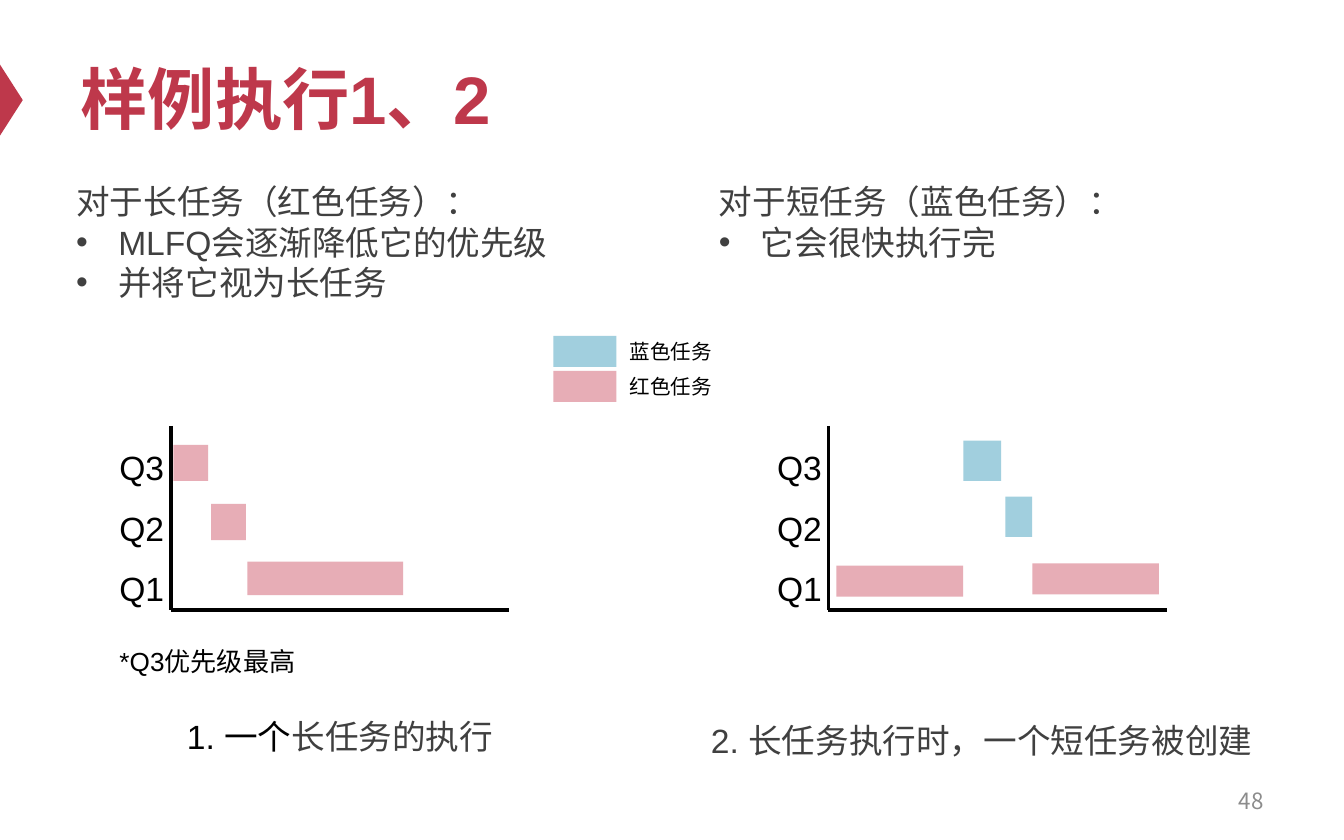
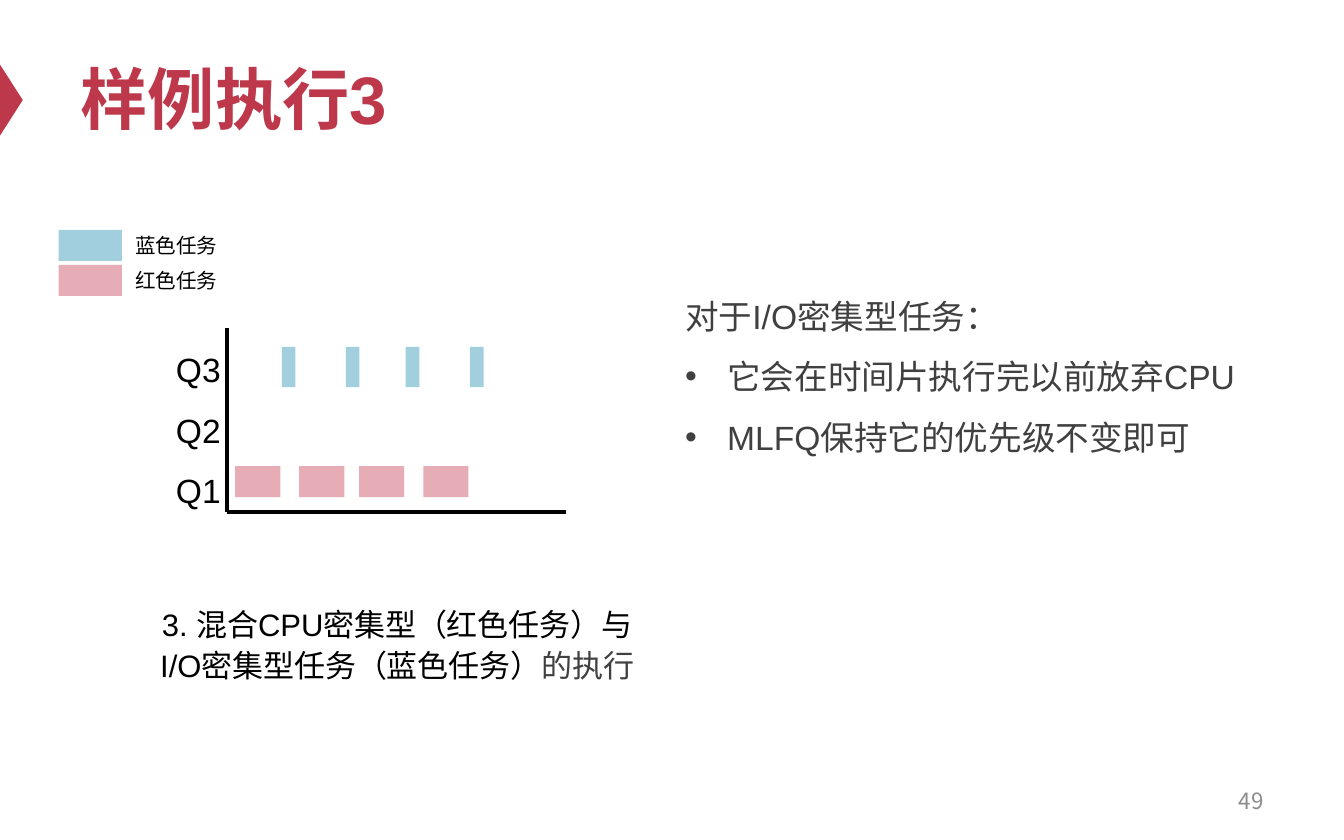
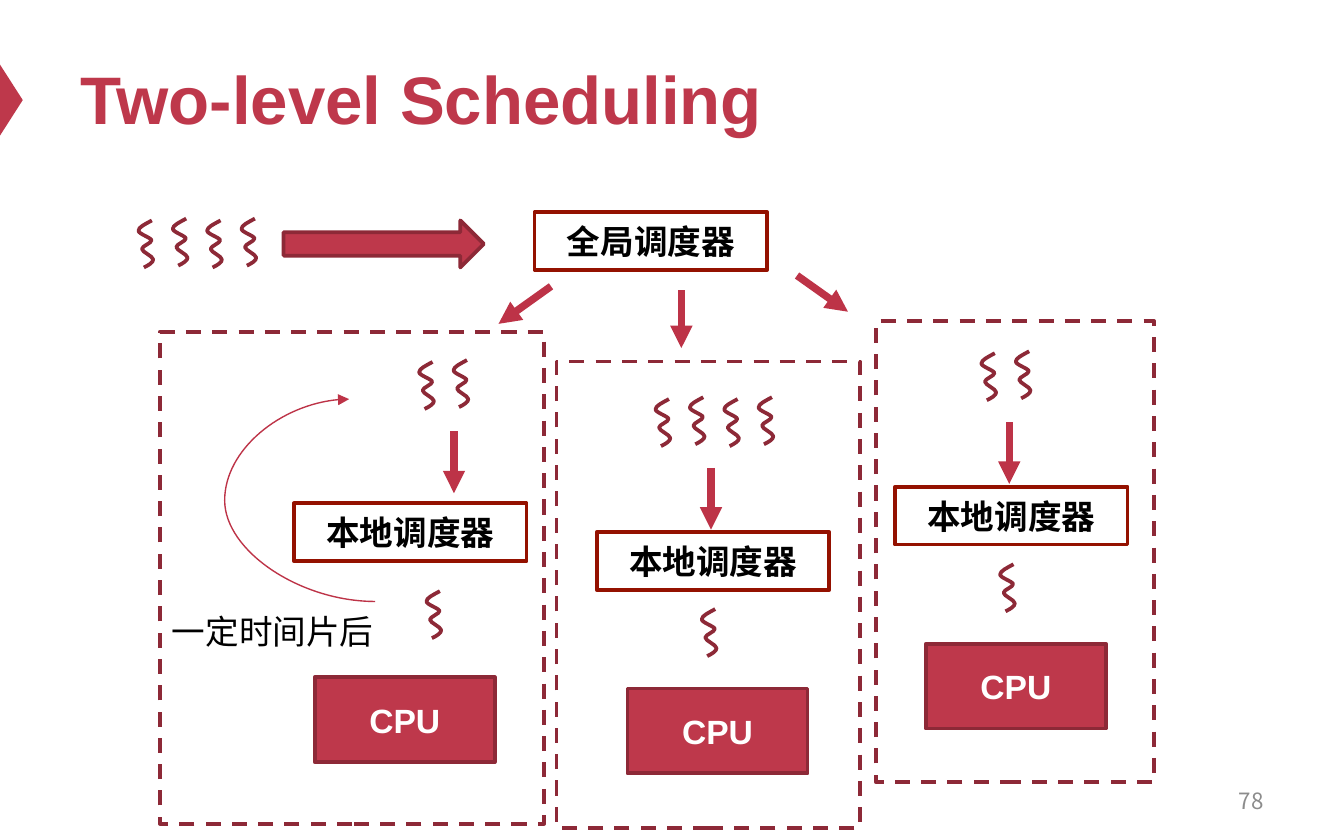
from dataclasses import dataclass, replace
from typing import NamedTuple, Sequence

from lxml import etree
from pptx import Presentation
from pptx import util as u
from pptx.dml.color import RGBColor
from pptx.enum import dml, shapes, text
from pptx.oxml import ns


@dataclass(frozen=True)
class Theme:
    latin: str = "Arial"
    chinese: str = "Noto Sans CJK SC"
    crimson: str = "BE384B"
    arrow: str = "BD3347"
    maroon: str = "8D2937"
    rust: str = "941100"
    pink: str = "E7ADB6"
    blue: str = "A1CFDE"
    black: str = "000000"
    body: str = "404040"
    grey: str = "8C8C8C"
    white: str = "FFFFFF"
    title_size: float = 36
    body_size: float = 18
    dense_size: float = 16.6
    note_size: float = 14
    number_size: float = 12
    legend_size: float = 11
    outline: float = 2
    thick: float = 4
    thin: float = 0.75


THEME = Theme()


class Box(NamedTuple):
    left: float
    top: float
    width: float
    height: float


class Point(NamedTuple):
    x: float
    y: float


@dataclass(frozen=True)
class Style:
    size: float = THEME.body_size
    color: str = THEME.black
    bold: bool = False
    align: text.PP_ALIGN = text.PP_ALIGN.LEFT
    spacing: float = 1.0
    font: str = THEME.latin


BODY = Style(color=THEME.body)
LABEL = Style(bold=True, align=text.PP_ALIGN.CENTER)
CAPTION = Style(align=text.PP_ALIGN.CENTER, spacing=1.2)


class Bar(NamedTuple):
    box: Box
    color: str


@dataclass(frozen=True)
class QueueChart:
    origin: Point
    bars: Sequence[Bar]


@dataclass(frozen=True)
class ThreadRow:
    left: float
    top: float
    count: int = 1


@dataclass(frozen=True)
class Core:
    frame: Box
    queue: ThreadRow
    arrow: Point
    scheduler: Point
    running: ThreadRow
    processor: Point


TITLE_BOX = Box(36, 15.5, 648, 74)
NUMBER_BOX = Box(516.2, 416.9, 167.8, 23.8)
MARKER_BOX = Box(-12.9, 47.5, 38, 12.2)
AXIS = Point(181.4, 98.7)
SWATCH = Point(33.8, 16.6)
SCHEDULER = Point(124.6, 31)
PROCESSOR = Point(96.5, 45.4)
ARROW_LENGTH = 33.1
THREAD_STEP = 18.4
THREAD_CURVE = [
    Point(7.2, 0),
    Point(3.6, 2), Point(0, 3.6), Point(0, 5.5),
    Point(0, 7.2), Point(6.5, 9.1), Point(7, 10.6),
    Point(7.1, 12.2), Point(1.8, 13.7), Point(1.9, 15.3),
    Point(2, 17), Point(7.7, 19.1), Point(7.9, 20.9),
    Point(8, 22.5), Point(5.4, 24), Point(2.9, 25.2),
]

LONG_TASK = QueueChart(Point(91.5, 228.2), [
    Bar(Box(1.4, 10.1, 18.7, 19.4), THEME.pink),
    Bar(Box(21.6, 41.8, 18.7, 19.4), THEME.pink),
    Bar(Box(41, 72.7, 83.5, 18), THEME.pink),
])
SHORT_TASK = QueueChart(Point(443.8, 228.2), [
    Bar(Box(72.3, 7.9, 20.2, 21.6), THEME.blue),
    Bar(Box(4.3, 74.9, 67.9, 16.6), THEME.pink),
    Bar(Box(109.2, 73.6, 67.9, 16.6), THEME.pink),
    Bar(Box(94.8, 37.9, 14.4, 21.6), THEME.blue),
])
MIXED_TASKS = QueueChart(Point(121.8, 175.7), [
    bar
    for start in (4.2, 38.5, 70.6, 105)
    for bar in (
        Bar(Box(start + 25, 10.1, 7.3, 21.6), THEME.blue),
        Bar(Box(start, 74, 24.2, 16.6), THEME.pink),
    )
])
CORES = [
    Core(Box(85.7, 177.8, 205.9, 263.5), ThreadRow(224.6, 193.9, 2),
         Point(243.2, 231.1), Point(157.5, 269.7),
         ThreadRow(228.5, 316.7), Point(168.6, 362.9)),
    Core(Box(298.1, 193.7, 162.7, 249.8), ThreadRow(351.2, 213.8, 4),
         Point(380.9, 250.6), Point(319.7, 285.1),
         ThreadRow(376, 326.3), Point(336.2, 368.9)),
    Core(Box(469.3, 172.1, 149, 247), ThreadRow(525.8, 189.2, 2),
         Point(540.7, 226.1), Point(479.5, 260.8),
         ThreadRow(535.8, 302.3), Point(496, 344.9)),
]
DISPATCHES = [
    (Point(295.2, 153.4), Point(267.1, 173.5)),
    (Point(365, 155.5), Point(365, 186.5)),
    (Point(427, 147.6), Point(454.3, 167)),
]


def lengths(values: Sequence[float]) -> list:
    return [u.Pt(value) for value in values]


def rgb(color: str) -> RGBColor:
    return RGBColor.from_string(color)


def add_bullet(paragraph) -> None:
    properties = paragraph._p.get_or_add_pPr()
    properties.set("marL", str(u.Pt(22.5)))
    properties.set("indent", str(-u.Pt(22.5)))
    etree.SubElement(properties, ns.qn("a:buFont"), typeface=THEME.latin)
    etree.SubElement(properties, ns.qn("a:buChar"), char="•")


def write(frame, lines: Sequence[str], style: Style, bulleted: bool = False) -> None:
    for index, line in enumerate(lines):
        paragraph = frame.add_paragraph() if index else frame.paragraphs[0]
        paragraph.text = line
        paragraph.alignment = style.align
        paragraph.line_spacing = style.spacing
        if bulleted and index:
            add_bullet(paragraph)
        font = paragraph.font
        font.name, font.size, font.bold = style.font, u.Pt(style.size), style.bold
        font.color.rgb = rgb(style.color)
        defaults = paragraph._p.pPr.find(ns.qn("a:defRPr"))
        etree.SubElement(defaults, ns.qn("a:ea"), typeface=THEME.chinese)


def add_text(slide, box: Box, lines: Sequence[str], style: Style,
             bulleted: bool = False, wrap: bool = True):
    frame = slide.shapes.add_textbox(*lengths(box)).text_frame
    frame.word_wrap = wrap
    write(frame, lines, style, bulleted)
    return frame


def add_caption(slide, box: Box, lead: str, rest: str, style: Style) -> None:
    run = add_text(slide, box, [lead], style).paragraphs[0].add_run()
    run.text = rest
    run.font.color.rgb = rgb(THEME.body)


def paint(shape, fill: str | None = None, line: str | None = None):
    shape.shadow.inherit = False
    if fill:
        shape.fill.solid()
        shape.fill.fore_color.rgb = rgb(fill)
    else:
        shape.fill.background()
    if line:
        shape.line.color.rgb = rgb(line)
        shape.line.width = u.Pt(THEME.outline)
    else:
        shape.line.fill.background()
    return shape


def add_block(slide, box: Box, fill: str | None = None, line: str | None = None,
              kind: shapes.MSO_SHAPE = shapes.MSO_SHAPE.RECTANGLE):
    return paint(slide.shapes.add_shape(kind, *lengths(box)), fill, line)


def add_labelled(slide, corner: Point, size: Point, label: str,
                 fill: str, line: str, color: str) -> None:
    frame = add_block(slide, Box(*corner, *size), fill, line).text_frame
    frame.vertical_anchor = text.MSO_ANCHOR.MIDDLE
    write(frame, [label], replace(LABEL, color=color))


def add_line(slide, start: Point, end: Point, color: str, width: float, arrow: bool = False,
             kind: shapes.MSO_CONNECTOR = shapes.MSO_CONNECTOR.STRAIGHT):
    connector = slide.shapes.add_connector(kind, *lengths([*start, *end]))
    connector.line.color.rgb = rgb(color)
    connector.line.width = u.Pt(width)
    properties = connector._element.spPr
    if arrow:
        etree.SubElement(properties.find(ns.qn("a:ln")), ns.qn("a:tailEnd"), type="triangle")
    etree.SubElement(properties, ns.qn("a:effectLst"))
    return connector


def add_titled_slide(presentation, title: str, number: int):
    slide = presentation.slides.add_slide(presentation.slide_layouts[5])
    marker = add_block(slide, MARKER_BOX, THEME.crimson,
                       kind=shapes.MSO_SHAPE.ISOSCELES_TRIANGLE)
    marker.rotation = 90
    heading = slide.shapes.title
    heading.left, heading.top, heading.width, heading.height = lengths(TITLE_BOX)
    heading.text_frame.vertical_anchor = text.MSO_ANCHOR.MIDDLE
    write(heading.text_frame, [title], Style(THEME.title_size, THEME.crimson, True))
    frame = add_text(slide, NUMBER_BOX, [str(number)],
                     Style(THEME.number_size, THEME.grey, align=text.PP_ALIGN.RIGHT,
                           font=THEME.chinese))
    frame.vertical_anchor = text.MSO_ANCHOR.MIDDLE
    return slide


def add_queue_chart(slide, chart: QueueChart) -> None:
    left, top = chart.origin
    corner = Point(left, top + AXIS.y)
    add_text(slide, Box(left - 34.6, top - 2.9, 43.2, 101.5),
             ["Q3", "Q2", "Q1"], Style(spacing=1.5))
    add_line(slide, chart.origin, corner, THEME.black, THEME.outline)
    add_line(slide, corner, Point(left + AXIS.x, corner.y), THEME.black, THEME.outline)
    for box, color in chart.bars:
        add_block(slide, Box(left + box.left, top + box.top, box.width, box.height), color)


def add_legend(slide, corner: Point) -> None:
    entries = [("蓝色任务", THEME.blue), ("红色任务", THEME.pink)]
    for index, (label, color) in enumerate(entries):
        top = corner.y + 18.7 * index
        add_block(slide, Box(corner.x, top, *SWATCH), color)
        add_text(slide, Box(corner.x + SWATCH.x, top - 2, 59, 20.9), [label],
                 Style(THEME.legend_size), wrap=False)


def add_threads(slide, row: ThreadRow) -> None:
    for index in range(row.count):
        left = row.left + THREAD_STEP * index
        top = row.top - index % 2
        points = [lengths((left + x, top + y)) for x, y in THREAD_CURVE]
        builder = slide.shapes.build_freeform(*points[0])
        builder.add_line_segments(points[1:], close=False)
        thread = paint(builder.convert_to_shape(), line=THEME.maroon)
        outline = thread._element.find(".//" + ns.qn("a:path"))
        segments = outline.findall(ns.qn("a:lnTo"))
        for first in range(0, len(segments), 3):
            curve = etree.SubElement(outline, ns.qn("a:cubicBezTo"))
            for segment in segments[first:first + 3]:
                curve.append(segment[0])
                outline.remove(segment)


def add_scheduler(slide, corner: Point, label: str) -> None:
    add_labelled(slide, corner, SCHEDULER, label, THEME.white, THEME.rust, THEME.black)


def add_core(slide, core: Core) -> None:
    frame = add_block(slide, core.frame, line=THEME.maroon)
    frame.line.dash_style = dml.MSO_LINE.DASH
    add_threads(slide, core.queue)
    add_line(slide, core.arrow, Point(core.arrow.x, core.arrow.y + ARROW_LENGTH),
             THEME.arrow, THEME.thick, arrow=True)
    add_scheduler(slide, core.scheduler, "本地调度器")
    add_threads(slide, core.running)
    add_labelled(slide, core.processor, PROCESSOR, "CPU",
                 THEME.crimson, THEME.maroon, THEME.white)


def add_return_arrow(slide) -> None:
    connector = add_line(slide, Point(187, 213.8), Point(201, 322.2), THEME.arrow,
                         THEME.thin, arrow=True, kind=shapes.MSO_CONNECTOR.CURVE)
    properties = connector._element.spPr
    properties.find(ns.qn("a:xfrm")).set("rot", "10800000")
    geometry = properties.find(ns.qn("a:prstGeom"))
    adjustments = geometry.find(ns.qn("a:avLst"))
    if adjustments is None:
        adjustments = etree.SubElement(geometry, ns.qn("a:avLst"))
    etree.SubElement(adjustments, ns.qn("a:gd"), name="adj1", fmla="val 576000")


def build_single_tasks(presentation) -> None:
    slide = add_titled_slide(presentation, "样例执行1、2", 48)
    add_caption(slide, Box(72.7, 375.8, 218.9, 50.4), "1. 一个", "长任务的执行", CAPTION)
    add_text(slide, Box(370, 378, 311.8, 50.4), ["2. 长任务执行时，一个短任务被创建"],
             replace(CAPTION, color=THEME.body))
    add_text(slide, Box(378, 93.6, 342, 51), ["对于短任务（蓝色任务）：", "它会很快执行完"],
             BODY, bulleted=True)
    add_text(slide, Box(33.8, 93.6, 275.8, 72.7),
             ["对于长任务（红色任务）：", "MLFQ会逐渐降低它的优先级", "并将它视为长任务"],
             BODY, bulleted=True)
    add_text(slide, Box(56.9, 342, 193, 24.5), ["*Q3优先级最高"], Style(THEME.note_size))
    add_queue_chart(slide, LONG_TASK)
    add_queue_chart(slide, SHORT_TASK)
    add_legend(slide, Point(296.5, 180))


def build_mixed_tasks(presentation) -> None:
    slide = add_titled_slide(presentation, "样例执行3", 49)
    add_caption(slide, Box(7.9, 319, 409.7, 50.4),
                "3. 混合CPU密集型（红色任务）与\nI/O密集型任务（蓝色任务）", "的执行",
                replace(CAPTION, size=THEME.dense_size, spacing=1.1))
    add_text(slide, Box(360, 144, 325.4, 101.5),
             ["对于I/O密集型任务：", "它会在时间片执行完以前放弃CPU", "MLFQ保持它的优先级不变即可"],
             replace(BODY, spacing=1.5), bulleted=True)
    add_queue_chart(slide, MIXED_TASKS)
    add_legend(slide, Point(31.5, 123.2))


def build_two_levels(presentation) -> None:
    slide = add_titled_slide(presentation, "Two-level Scheduling", 78)
    add_threads(slide, ThreadRow(74.2, 118.1, 4))
    add_block(slide, Box(151.9, 118.1, 107.3, 25.2), THEME.crimson, THEME.maroon,
              shapes.MSO_SHAPE.RIGHT_ARROW)
    add_scheduler(slide, Point(286.4, 113.6), "全局调度器")
    for start, end in DISPATCHES:
        add_line(slide, start, end, THEME.arrow, THEME.thick, arrow=True)
    for core in CORES:
        add_core(slide, core)
    add_return_arrow(slide)
    add_text(slide, Box(85, 324, 134.6, 28.8), ["一定时间片后"], Style())


def main() -> None:
    presentation = Presentation()
    presentation.slide_width, presentation.slide_height = lengths((720, 450))
    build_single_tasks(presentation)
    build_mixed_tasks(presentation)
    build_two_levels(presentation)
    presentation.save("out.pptx")


if __name__ == "__main__":
    main()
